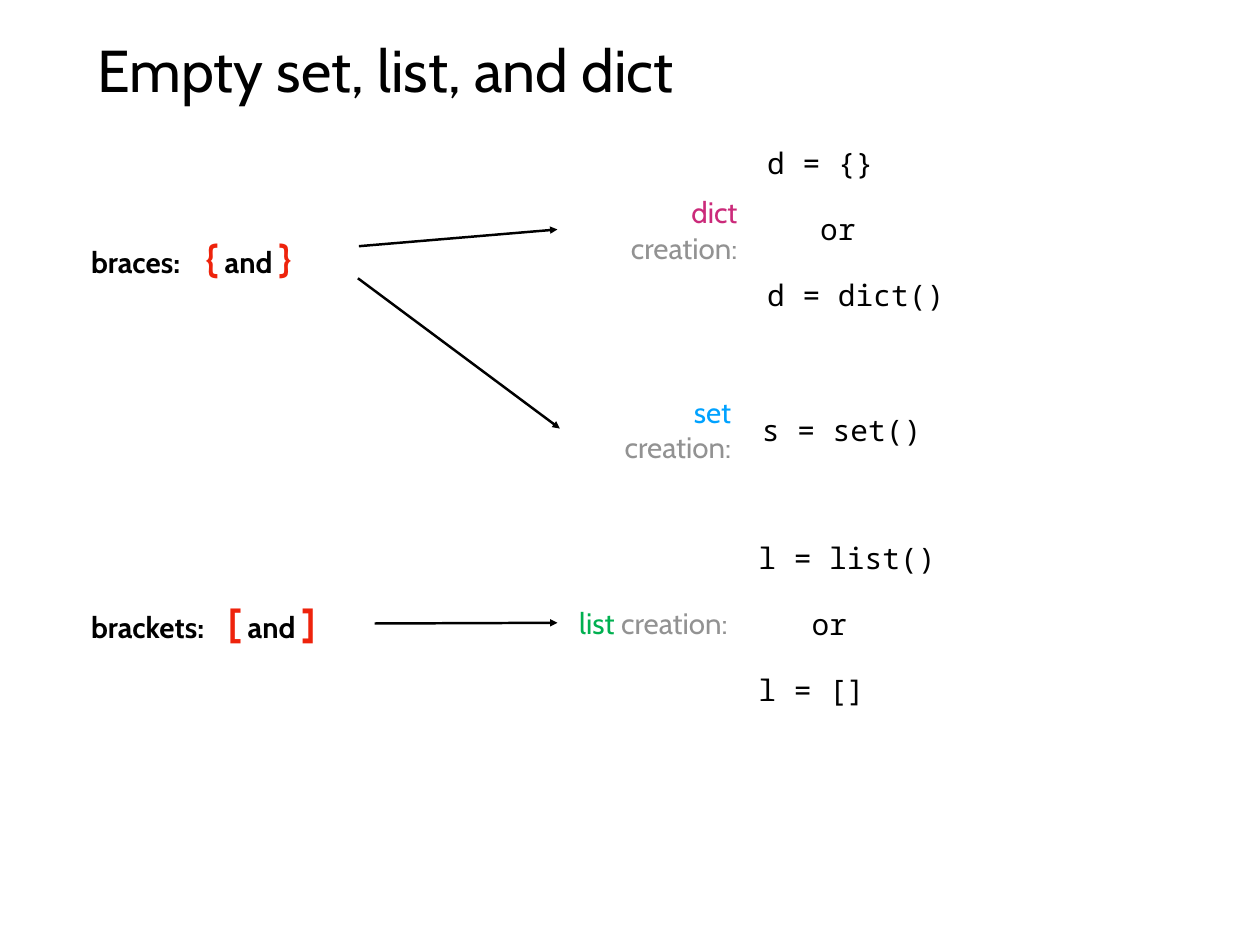
from lxml.etree import SubElement
from pptx import Presentation
from pptx.dml.color import RGBColor
from pptx.enum.shapes import MSO_CONNECTOR as CONNECTOR
from pptx.enum.text import MSO_ANCHOR as ANCHOR, PP_ALIGN as ALIGN
from pptx.oxml.ns import qn
from pptx.util import Cm, Pt

BLACK, GREY, RED = "000000", "929292", "EE230C"


def color(value):
    return RGBColor.from_string(value)


def add_run(paragraph, text, size=24, fill=BLACK, bold=False, font="Cabin"):
    run = paragraph.add_run()
    run.text = text
    run.font.name = font
    run.font.size = Pt(size)
    run.font.bold = bold
    run.font.color.rgb = color(fill)


def add_box(slide, left, top, width, height):
    shape = slide.shapes.add_textbox(Cm(left), Cm(top), Cm(width), Cm(height))
    frame = shape.text_frame
    frame.word_wrap = True
    frame.vertical_anchor = ANCHOR.MIDDLE
    frame.margin_left = frame.margin_right = Cm(0.15)
    frame.margin_top = frame.margin_bottom = Cm(0.15)
    return frame


def add_title(slide, text):
    frame = add_box(slide, 2.64, 0.71, 30.84, 2.51)
    add_run(frame.paragraphs[0], text, size=48)


def add_symbols(slide, top, width, name, opening, closing, tab):
    paragraph = add_box(slide, 2.46, top, width, 1.63).paragraphs[0]
    tabs = SubElement(paragraph._p.get_or_add_pPr(), qn("a:tabLst"))
    SubElement(tabs, qn("a:tab"), pos=str(Cm(tab)), algn="l")
    add_run(paragraph, f"{name}:\t", bold=True)
    add_run(paragraph, opening, 32, RED, True)
    add_run(paragraph, " and ", bold=True)
    add_run(paragraph, closing, 32, RED, True)


def add_creation_label(slide, left, top, width, name, fill):
    paragraph = add_box(slide, left, top, width, 1.3).paragraphs[0]
    paragraph.alignment = ALIGN.RIGHT
    add_run(paragraph, name, fill=fill)
    add_run(paragraph, " creation:", fill=GREY)


def add_code(slide, left, top, width, height, lines):
    frame = add_box(slide, left, top, width, height)
    for index, line in enumerate(lines):
        paragraph = frame.add_paragraph() if index else frame.paragraphs[0]
        if index:
            paragraph.space_before = Pt(25)
        add_run(paragraph, line, font="Noto Sans Mono")


def add_arrow(slide, *ends):
    connector = slide.shapes.add_connector(CONNECTOR.STRAIGHT, *map(Cm, ends))
    connector.line.width = Pt(2)
    connector.line.color.rgb = color(BLACK)
    SubElement(connector.line._get_or_add_ln(), qn("a:tailEnd"), type="triangle")
    SubElement(connector._element.spPr, qn("a:effectLst"))


def main():
    presentation = Presentation()
    presentation.slide_width = Cm(36.12)
    presentation.slide_height = Cm(27.1)
    slide = presentation.slides.add_slide(presentation.slide_layouts[6])

    add_title(slide, "Empty set, list, and dict")
    add_symbols(slide, 6.58, 7.29, "braces", "{", "}", 3.28)
    add_symbols(slide, 17.04, 8.33, "brackets", "[", "]", 3.92)

    add_creation_label(slide, 17, 5.94, 4.29, "dict", "CB2A7A")
    add_creation_label(slide, 17, 11.66, 4.11, "set", "00A2FF")
    add_creation_label(slide, 16.11, 17.22, 4.9, "list", "00B050")

    add_code(slide, 21.84, 3.86, 6, 5.41, ["d = {}", "   or", "d = dict()"])
    add_code(slide, 21.69, 11.66, 5.2, 1.32, ["s = set()"])
    add_code(slide, 21.59, 15.19, 7.29, 5.41, ["l = list()", "   or", "l = []"])

    add_arrow(slide, 10.29, 7.06, 15.98, 6.58)
    add_arrow(slide, 10.26, 7.98, 16.05, 12.29)
    add_arrow(slide, 10.74, 17.88, 15.98, 17.86)
    presentation.save("out.pptx")


if __name__ == "__main__":
    main()
